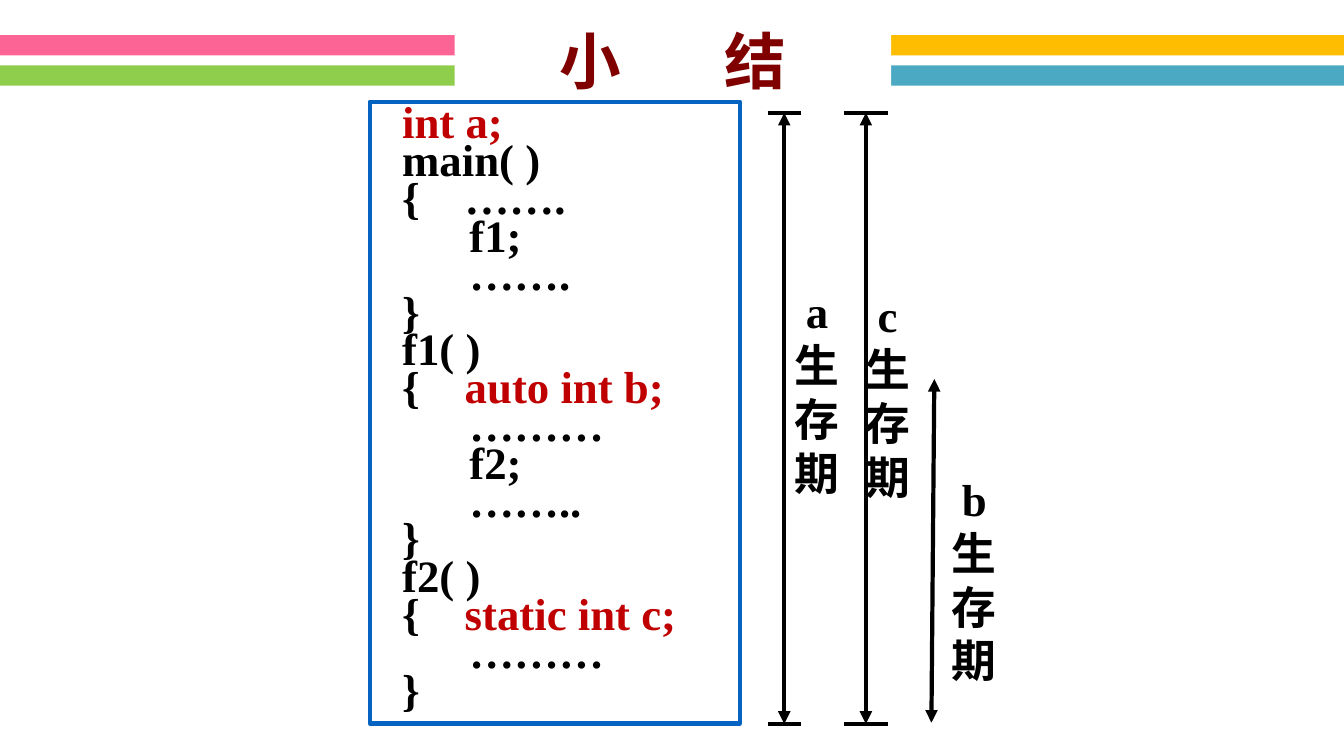
from lxml import etree
from pptx import Presentation
from pptx.dml.color import RGBColor
from pptx.enum.shapes import MSO_CONNECTOR as Line, MSO_SHAPE as Shape
from pptx.enum.text import MSO_ANCHOR as Anchor, PP_ALIGN as Align
from pptx.oxml.ns import qn
from pptx.util import Pt

PINK = RGBColor(0xFC, 0x64, 0x95)
GREEN = RGBColor(0x8F, 0xCD, 0x4C)
AMBER = RGBColor(0xFE, 0xBD, 0x01)
TEAL = RGBColor(0x4B, 0xA9, 0xC3)
MAROON = RGBColor(0x80, 0x00, 0x00)
RED = RGBColor(0xC0, 0x00, 0x00)
BLUE = RGBColor(0x05, 0x63, 0xC1)
BLACK = RGBColor(0, 0, 0)
WHITE = RGBColor(0xFF, 0xFF, 0xFF)
SERIF, SANS = "Times New Roman", "Arial"

TITLE = ("小　", "结")
TITLE_GAP = 14.6
BARS = ((PINK, GREEN), (AMBER, TEAL))  # left column, right column

# Each line is a list of (text, colour) runs.
CODE = [
    [("  int a;", RED)],
    [("  main( )", BLACK)],
    [("  {    …….", BLACK)],
    [("        f1;", BLACK)],
    [("        …….", BLACK)],
    [("  }", BLACK)],
    [("  f1( )", BLACK)],
    [("  {    ", BLACK), ("auto int b;", RED)],
    [("        ………", BLACK)],
    [("        f2;", BLACK)],
    [("        ……..", BLACK)],
    [("  }", BLACK)],
    [("  f2( )", BLACK)],
    [("  {    ", BLACK), ("static int c;", RED)],
    [("        ………", BLACK)],
    [("  }", BLACK)],
]

LIFETIME = "生存期"
TOP, BOTTOM = 80.6, 517
# variable, label left and top, font of the Chinese text
LABELS = [("b", 672.5, 333.4, SERIF), ("a", 560.2, 199.4, SANS), ("c", 610.6, 202.3, SANS)]
# top x, top y, bottom x, bottom y, half width of the end caps
SPANS = [
    (560.2, TOP, 560.2, BOTTOM, 11.8),
    (667.4, 270.7, 665.3, 516.2, 0),
    (618.5, TOP, 618.5, BOTTOM, 15.8),
]

prs = Presentation()
prs.slide_width, prs.slide_height = Pt(960), Pt(540)
s = prs.slides.add_slide(prs.slide_layouts[5])


def add_run(p, text, **fmt):
    r = p.add_run()
    r.text = text
    r.font.color.rgb = fmt.pop("color")
    for name, value in {"bold": True, "size": Pt(32), "name": SERIF, **fmt}.items():
        setattr(r.font, name, value)
    return r


def add_rect(x, y, w, h):
    sp = s.shapes.add_shape(Shape.RECTANGLE, Pt(x), Pt(y), Pt(w), Pt(h))
    sp.shadow.inherit = False
    return sp


def add_line(x1, y1, x2, y2, arrows=False):
    c = s.shapes.add_connector(Line.STRAIGHT, Pt(x1), Pt(y1), Pt(x2), Pt(y2))
    c.line.color.rgb, c.line.width = BLACK, Pt(3)
    if arrows:
        ln = c.line._get_or_add_ln()
        for end in ("a:headEnd", "a:tailEnd"):
            etree.SubElement(ln, qn(end), type="triangle")
    etree.SubElement(c._element.spPr, qn("a:effectLst"))


def add_bars():
    for col, colors in enumerate(BARS):
        for row, color in enumerate(colors):
            bar = add_rect(col * 617.2, 25.2 + row * 21.6, 342.8, 14.4)
            bar.fill.solid()
            bar.fill.fore_color.rgb = color
            bar.line.fill.background()


def add_title():
    title = s.shapes.title
    s.shapes._spTree.append(title._element)  # in front of the bars
    title.left, title.top, title.width, title.height = Pt(324.7), Pt(12.2), Pt(311.8), Pt(60.5)
    title.fill.solid()
    title.fill.fore_color.rgb = WHITE
    title.text_frame.vertical_anchor = Anchor.MIDDLE
    p = title.text_frame.paragraphs[0]
    p.alignment = Align.CENTER
    first, _ = [add_run(p, text, size=Pt(44), name=SANS, color=MAROON) for text in TITLE]
    first._r.get_or_add_rPr().set("spc", str(round(TITLE_GAP * 100)))


def add_code():
    box = add_rect(264.2, 72.7, 264.2, 444.2)
    box.fill.background()
    box.line.color.rgb, box.line.width = BLUE, Pt(3)
    tf = box.text_frame
    tf.vertical_anchor = Anchor.MIDDLE
    for i, runs in enumerate(CODE):
        p = tf.add_paragraph() if i else tf.paragraphs[0]
        p.alignment, p.line_spacing = Align.LEFT, Pt(27)
        for text, color in runs:
            add_run(p, text, color=color)


def add_label(variable, x, y, font):
    tf = s.shapes.add_textbox(Pt(x), Pt(y), Pt(46.8), Pt(162.7)).text_frame
    tf.word_wrap = False
    for i, char in enumerate(variable + LIFETIME):
        p = tf.add_paragraph() if i else tf.paragraphs[0]
        p.alignment = Align.CENTER
        add_run(p, char, color=BLACK, name=font if i else SERIF)


add_bars()
add_title()
add_code()
for x1, y1, x2, y2, cap in SPANS:
    add_line(x1, y1, x2, y2, arrows=True)
    if cap:
        for x, y in ((x1, y1), (x2, y2)):
            add_line(x - cap, y, x + cap, y)
for label in LABELS:
    add_label(*label)

prs.save("out.pptx")
